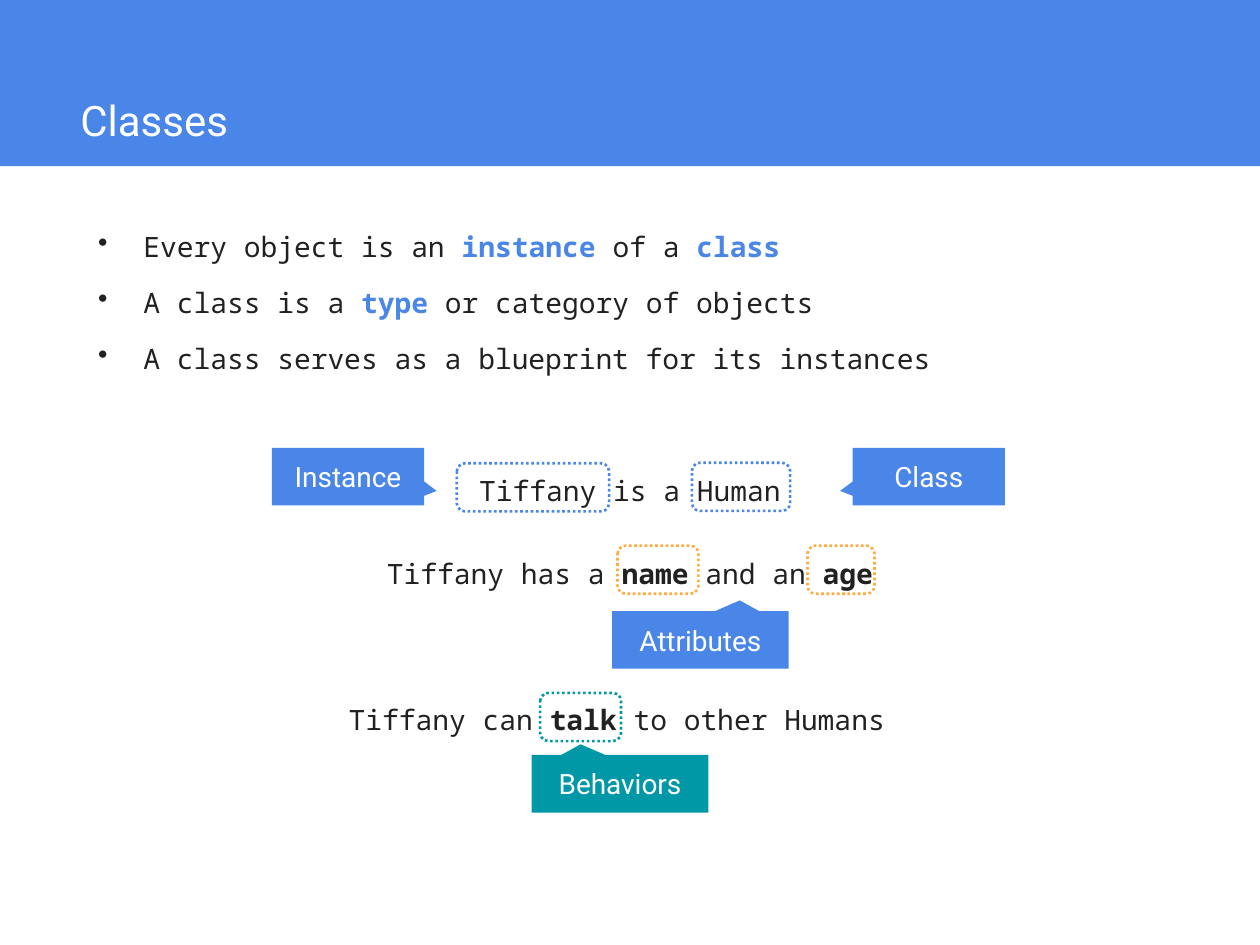
from dataclasses import dataclass

from lxml import etree
from pptx import Presentation
from pptx.dml.color import RGBColor
from pptx.enum.dml import MSO_LINE
from pptx.enum.shapes import MSO_SHAPE
from pptx.enum.text import MSO_ANCHOR, MSO_AUTO_SIZE, PP_ALIGN
from pptx.oxml.ns import qn
from pptx.util import Cm, Pt

RECTANGLE = MSO_SHAPE.RECTANGLE
ROUNDED = MSO_SHAPE.ROUNDED_RECTANGLE
CALLOUT = MSO_SHAPE.ROUNDED_RECTANGULAR_CALLOUT
DOTTED = MSO_LINE.ROUND_DOT
TOP, MIDDLE = MSO_ANCHOR.TOP, MSO_ANCHOR.MIDDLE
LEFT, CENTER = PP_ALIGN.LEFT, PP_ALIGN.CENTER
FIXED_SIZE = MSO_AUTO_SIZE.NONE

BLUE, ORANGE, TEAL = "4A86E8", "FFAB40", "0097A7"
INK, WHITE = "212121", "FFFFFF"
MONO, SANS = "Noto Sans Mono", "Roboto"
MARGIN, CONTENT_WIDTH = 1.37, 22.66


@dataclass
class Span:
    text: str
    color: str = INK
    bold: bool = False


@dataclass
class Sentence:
    left: float
    top: float
    width: float
    spans: list[Span]


@dataclass
class Callout:
    text: str
    left: float
    top: float
    width: float
    tip: tuple[float, float]
    color: str = BLUE


@dataclass
class Frame:
    left: float
    top: float
    width: float
    color: str


BULLETS = [
    [Span("Every object is an "), Span("instance", BLUE, True),
     Span(" of a "), Span("class", BLUE, True)],
    [Span("A class is a "), Span("type", BLUE, True), Span(" or category of objects")],
    [Span("A class serves as a blueprint for its instances")],
]
SENTENCES = [
    Sentence(MARGIN, 9.19, CONTENT_WIDTH, [Span("Tiffany is a Human")]),
    Sentence(MARGIN, 10.87, CONTENT_WIDTH, [
        Span("Tiffany has a "), Span("name", bold=True),
        Span(" and an "), Span("age", bold=True)]),
    Sentence(2.95, 13.82, 18.97, [
        Span("Tiffany can "), Span("talk", bold=True), Span(" to other Humans")]),
]
CALLOUTS = [
    Callout("Instance", 5.48, 9.03, 3.07, (0.583, 0.248)),
    Callout("Class", 17.19, 9.03, 3.07, (-0.583, 0.248)),
    Callout("Attributes", 12.34, 12.32, 3.56, (0.223, -0.686)),
    Callout("Behaviors", 10.72, 15.22, 3.56, (-0.223, -0.686), TEAL),
]
FRAMES = [
    Frame(9.21, 9.34, 3.07, BLUE),
    Frame(13.95, 9.33, 1.98, BLUE),
    Frame(12.45, 11, 1.63, ORANGE),
    Frame(16.28, 11, 1.35, ORANGE),
    Frame(10.89, 13.97, 1.63, TEAL),
]


def rgb(value: str) -> RGBColor:
    """Turn a hex string into a colour."""
    return RGBColor.from_string(value)


def set_all(target, values: dict) -> None:
    """Set each named attribute on the target."""
    for name, value in values.items():
        setattr(target, name, value)


def format_frame(box, anchor) -> None:
    """Give a text frame its wrapping, margins and anchor."""
    margins = {f"margin_{side}": Cm(0.25) for side in ("left", "right", "top", "bottom")}
    set_all(box.text_frame, {"auto_size": FIXED_SIZE, "word_wrap": True,
                             "vertical_anchor": anchor, **margins})


def write_spans(paragraph, spans: list[Span], font: str, size: int) -> None:
    """Add formatted runs to a paragraph."""
    for span in spans:
        run = paragraph.add_run()
        run.text = span.text
        set_all(run.font, {"name": font, "size": Pt(size), "bold": span.bold})
        run.font.color.rgb = rgb(span.color)


def add_bullet(paragraph) -> None:
    """Give a paragraph a hanging dot."""
    properties = paragraph._p.get_or_add_pPr()
    properties.set("marL", str(Cm(1.27)))
    properties.set("indent", str(-Cm(0.91)))
    color = etree.SubElement(properties, qn("a:buClr"))
    etree.SubElement(color, qn("a:srgbClr"), val=INK)
    etree.SubElement(properties, qn("a:buChar"), char="•")


def draw_shape(page, kind, left: float, top: float, width: float, height: float,
               fill: str | None = None, line: str | None = None):
    """Draw a flat shape with an optional fill or dotted outline."""
    shape = page.shapes.add_shape(kind, Cm(left), Cm(top), Cm(width), Cm(height))
    shape.shadow.inherit = False
    if fill:
        shape.fill.solid()
        shape.fill.fore_color.rgb = rgb(fill)
    else:
        shape.fill.background()
    if line:
        shape.line.color.rgb = rgb(line)
        set_all(shape.line, {"width": Pt(1.5), "dash_style": DOTTED})
    else:
        shape.line.fill.background()
    return shape


def draw_title(page) -> None:
    """Draw the banner with the title in front of it."""
    banner = draw_shape(page, RECTANGLE, 0, 0, 25.4, 3.35, fill=BLUE)
    title = page.shapes.title
    title._element.addprevious(banner._element)
    set_all(title, {"left": Cm(MARGIN), "top": Cm(1.65),
                    "width": Cm(CONTENT_WIDTH), "height": Cm(1.45)})
    format_frame(title, TOP)
    paragraph = title.text_frame.paragraphs[0]
    paragraph.alignment = LEFT
    write_spans(paragraph, [Span("Classes", WHITE)], SANS, 24)


def draw_bullets(page) -> None:
    """Draw the bulleted list."""
    box = page.shapes.add_textbox(Cm(MARGIN), Cm(4.27), Cm(CONTENT_WIDTH), Cm(3.66))
    format_frame(box, TOP)
    for index, spans in enumerate(BULLETS):
        paragraph = box.text_frame.add_paragraph() if index else box.text_frame.paragraphs[0]
        add_bullet(paragraph)
        paragraph.line_spacing = 1.15
        if index:
            paragraph.space_before = Pt(10)
        write_spans(paragraph, spans, MONO, 16)


def draw_sentence(page, sentence: Sentence) -> None:
    """Draw one centred example sentence."""
    box = page.shapes.add_textbox(Cm(sentence.left), Cm(sentence.top),
                                  Cm(sentence.width), Cm(1.24))
    format_frame(box, TOP)
    paragraph = box.text_frame.paragraphs[0]
    set_all(paragraph, {"alignment": CENTER, "line_spacing": 1.15, "space_after": Pt(10)})
    write_spans(paragraph, sentence.spans, MONO, 16)


def draw_callout(page, callout: Callout) -> None:
    """Draw a square-cornered callout with its label."""
    shape = draw_shape(page, CALLOUT, callout.left, callout.top, callout.width, 1.16,
                       fill=callout.color)
    for index, value in enumerate((*callout.tip, 0)):
        shape.adjustments[index] = value
    format_frame(shape, MIDDLE)
    paragraph = shape.text_frame.paragraphs[0]
    paragraph.alignment = CENTER
    write_spans(paragraph, [Span(callout.text, WHITE)], SANS, 16)


def main() -> None:
    """Build and save the slide."""
    deck = Presentation()
    set_all(deck, {"slide_width": Cm(25.4), "slide_height": Cm(19.05)})
    page = deck.slides.add_slide(deck.slide_layouts[5])
    draw_title(page)
    draw_bullets(page)
    for sentence in SENTENCES:
        draw_sentence(page, sentence)
    for callout in CALLOUTS:
        draw_callout(page, callout)
    for frame in FRAMES:
        draw_shape(page, ROUNDED, frame.left, frame.top, frame.width, 0.97, line=frame.color)
    deck.save("out.pptx")


if __name__ == "__main__":
    main()
